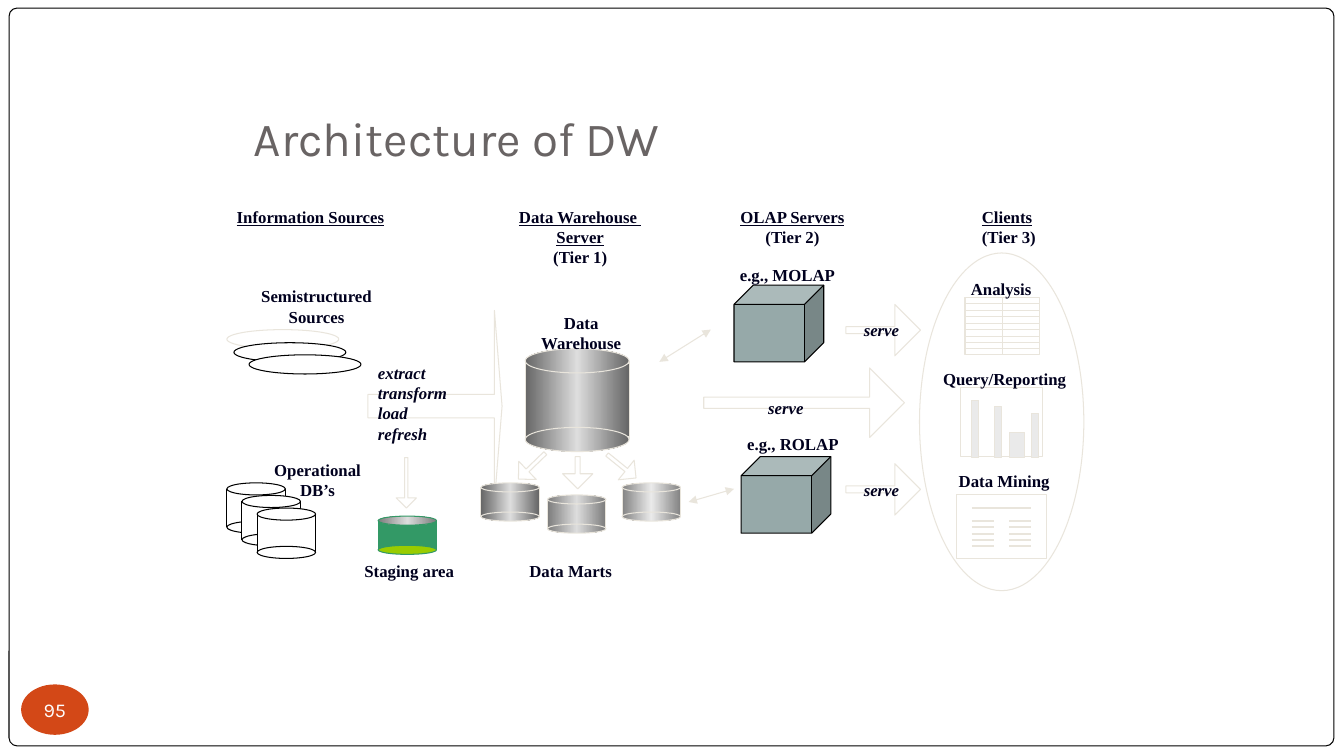
from copy import deepcopy
from dataclasses import dataclass
from itertools import product

from lxml import etree
from pptx import Presentation
from pptx.dml.color import RGBColor
from pptx.enum.shapes import MSO_CONNECTOR, MSO_SHAPE
from pptx.enum.text import MSO_ANCHOR, PP_ALIGN
from pptx.oxml.ns import qn
from pptx.util import Inches, Pt

STRAIGHT = MSO_CONNECTOR.STRAIGHT
ROUNDED, RECT, OVAL = MSO_SHAPE.ROUNDED_RECTANGLE, MSO_SHAPE.RECTANGLE, MSO_SHAPE.OVAL
RIGHT, DOWN, CUBE = MSO_SHAPE.RIGHT_ARROW, MSO_SHAPE.DOWN_ARROW, MSO_SHAPE.CUBE
LEFT, CENTER = PP_ALIGN.LEFT, PP_ALIGN.CENTER
TOP, MIDDLE, BOTTOM = MSO_ANCHOR.TOP, MSO_ANCHOR.MIDDLE, MSO_ANCHOR.BOTTOM

COLORS = {
    "white": "FFFFFF", "black": "000000", "orange": "D34817", "title": "696464",
    "ink": "00001E", "pale": "E9E5DC", "cube": "96A9A9", "bar": "EAEAEA",
    "green": "339966", "lime": "99CC00", "steel": "666666", "silver": "DDDDDD",
    "slate": "7C7C7C", "gray": "838383",
}
GRADIENTS = {
    "steel sheen": ("steel", "silver", "steel"),
    "slate sheen": ("slate", "silver", "slate"),
    "gray sheen": ("gray", "bar", "gray"),
}
LABEL = {"name": "Times New Roman", "size": Pt(12), "bold": True}
HEADING = LABEL | {"underline": True}
ACTION = LABEL | {"italic": True}
TITLE = {"name": "Karla", "size": Pt(34)}
NUMBER = {"name": "Karla", "size": Pt(14)}


@dataclass
class Form:
    kind: int
    at: tuple
    fill: str = ""
    line: str = "pale"
    adjust: tuple = ()
    turn: float = 0
    weight: float = 0.75


@dataclass
class Cylinder:
    at: tuple
    rim: float
    body: str
    top: str
    base: str
    line: str
    edge: str


@dataclass
class Label:
    at: tuple
    lines: tuple
    align: int = CENTER
    style: dict = None
    underlined: int = 0


def rgb(name: str) -> RGBColor:
    return RGBColor.from_string(COLORS[name])


def draw_form(page, form: Form):
    box = page.shapes.add_shape(form.kind, *map(Inches, form.at))
    box.shadow.inherit = False
    for index, value in enumerate(form.adjust):
        box.adjustments[index] = value
    box.rotation = form.turn
    if form.fill in GRADIENTS:
        box.fill.gradient()
        box.fill.gradient_angle = 0
        stops = box._element.spPr.find(".//" + qn("a:gsLst"))
        stops.append(deepcopy(stops[0]))
        for index, name in enumerate(GRADIENTS[form.fill]):
            stop = box.fill.gradient_stops[index]
            stop.position = index / 2
            stop.color.rgb = rgb(name)
    elif form.fill:
        box.fill.solid()
        box.fill.fore_color.rgb = rgb(form.fill)
    else:
        box.fill.background()
    if form.line:
        box.line.color.rgb = rgb(form.line)
        box.line.width = Pt(form.weight)
    else:
        box.line.fill.background()
    return box


def draw_line(page, start: tuple, end: tuple, color: str = "pale",
              weight: float = 0.75, arrows: bool = False):
    link = page.shapes.add_connector(STRAIGHT, *map(Inches, start + end))
    link.line.color.rgb = rgb(color)
    link.line.width = Pt(weight)
    if arrows:
        for tag in ("a:headEnd", "a:tailEnd"):
            etree.SubElement(link.line._get_or_add_ln(), qn(tag), type="triangle")
    etree.SubElement(link._element.spPr, qn("a:effectLst"))
    return link


def draw_cylinder(page, can: Cylinder) -> None:
    left, top, width, height = can.at
    rim = can.rim
    draw_form(page, Form(RECT, (left, top + 0.6 * rim, width, height - 1.2 * rim),
                         can.body, can.edge))
    for x in (left, left + width):
        draw_line(page, (x, top + rim / 2), (x, top + height - rim / 2), can.line)
    for y, fill in ((top, can.top), (top + height - rim, can.base)):
        draw_form(page, Form(OVAL, (left, y, width, rim), fill, can.line))


def write_text(box, lines: tuple, style: dict, color: str = "ink", align: int = CENTER,
               anchor: int = TOP, margins: tuple = (0, 0.05, 0, 0.05), underlined: int = 0) -> None:
    frame = box.text_frame
    sides = ("margin_left", "margin_top", "margin_right", "margin_bottom")
    layout = dict(zip(sides, map(Inches, margins)))
    for name, value in (layout | {"word_wrap": True, "vertical_anchor": anchor}).items():
        setattr(frame, name, value)
    for index, line in enumerate(lines):
        para = frame.paragraphs[0] if index == 0 else frame.add_paragraph()
        para.alignment = align
        span = para.add_run()
        span.text = line
        span.font.color.rgb = rgb(color)
        for name, value in (HEADING if index < underlined else style).items():
            setattr(span.font, name, value)


FORMS = [
    Form(OVAL, (2.25, 3.27, 1.11, 0.19)),
    Form(OVAL, (2.32, 3.4, 1.11, 0.19), "white", "black"),
    Form(OVAL, (2.47, 3.52, 1.11, 0.19), "white", "black"),
    Form(RIGHT, (3.65, 3.08, 1.33, 1.9), adjust=(0.123, 0.057)),
    Form(DOWN, (5.15, 4.44, 0.25, 0.37), adjust=(0.162, 0.5), turn=46),
    Form(DOWN, (5.58, 4.53, 0.3, 0.32), adjust=(0.162, 0.5)),
    Form(DOWN, (6.04, 4.44, 0.25, 0.37), adjust=(0.162, 0.5), turn=309),
    Form(DOWN, (3.93, 4.54, 0.2, 0.5), adjust=(0.162, 0.5)),
    Form(CUBE, (7.35, 4.53, 0.89, 0.76), "cube", "black", (0.25,)),
    Form(CUBE, (7.28, 2.83, 0.89, 0.76), "cube", "black", (0.25,)),
    Form(OVAL, (9.12, 2.51, 1.63, 3.35)),
    Form(RIGHT, (6.98, 3.65, 1.99, 0.69), adjust=(0.162, 0.5)),
    Form(RECT, (9.53, 3.84, 0.81, 0.69)),
    Form(RECT, (9.49, 4.91, 0.89, 0.63)),
]
BARS = [(9.64, 0.07, 0.57), (9.86, 0.07, 0.51), (10.01, 0.15, 0.25), (10.23, 0.07, 0.44)]
FORMS += [Form(RECT, (x, 4.54 - height, width, height), "bar") for x, width, height in BARS]

CYLINDERS = [
    Cylinder((2.25 + 0.15 * i, 4.79 + 0.125 * i, 0.58, 0.5), 0.12,
             "white", "white", "white", "black", "white") for i in range(3)
]
CYLINDERS += [
    Cylinder(at, rim, sheen, sheen, sheen, "pale", "pale") for at, rim, sheen in (
        ((5.21, 3.46, 1.03, 1.02), 0.24, "steel sheen"),
        ((4.77, 4.79, 0.58, 0.38), 0.09, "steel sheen"),
        ((5.43, 4.91, 0.58, 0.38), 0.09, "slate sheen"),
        ((6.17, 4.79, 0.58, 0.38), 0.09, "gray sheen"))
]
CYLINDERS.append(Cylinder((3.75, 5.12, 0.58, 0.38), 0.09,
                          "green", "slate sheen", "lime", "green", "green"))

LABELS = [
    Label((2.25, 2, 1.67, 0.3), ("Information Sources",), LEFT, underlined=1),
    Label((5.04, 2, 1.43, 0.71), ("Data Warehouse ", "Server", "(Tier 1)"), underlined=2),
    Label((7.24, 2, 1.24, 0.5), ("OLAP Servers", "(Tier 2)"), underlined=1),
    Label((9.64, 2, 0.74, 0.5), ("Clients", "(Tier 3)"), LEFT, underlined=1),
    Label((2.62, 4.51, 1.06, 0.5), ("Operational", "DB’s")),
    Label((2.49, 2.79, 1.3, 0.5), ("Semistructured", "Sources")),
    Label((3.65, 3.55, 1.01, 0.91), ("extract", "transform", "load", "refresh"), LEFT, ACTION),
    Label((5.15, 5.51, 1.02, 0.3), ("Data Marts",)),
    Label((5.26, 3.05, 1.01, 0.5), ("Data", "Warehouse")),
    Label((7.09, 2.58, 1.44, 0.3), ("e.g., MOLAP",)),
    Label((7.31, 4.25, 1.11, 0.3), ("e.g., ROLAP",)),
    Label((7.52, 3.9, 0.55, 0.3), ("serve",), style=ACTION),
    Label((9.53, 2.72, 0.8, 0.3), ("Analysis",)),
    Label((9.25, 3.61, 1.43, 0.3), ("Query/Reporting",)),
    Label((9.41, 4.62, 1.1, 0.3), ("Data Mining",)),
    Label((3.51, 5.51, 1.1, 0.3), ("Staging area",)),
]


def main() -> None:
    deck = Presentation()
    deck.slide_width, deck.slide_height = Inches(13.33), Inches(7.5)
    page = deck.slides.add_slide(deck.slide_layouts[6])
    draw_form(page, Form(ROUNDED, (0.09, 0.08, 13.14, 7.32), "white", "black", (0.011,)))
    badge = draw_form(page, Form(OVAL, (0.21, 6.79, 0.67, 0.5), "orange", ""))
    write_text(badge, ("95",), NUMBER, "white", anchor=MIDDLE, margins=(0, 0, 0, 0))
    title = page.shapes.add_textbox(*map(Inches, (2.42, 0.5, 8.5, 1.25)))
    write_text(title, ("Architecture of DW",), TITLE, "title", LEFT, BOTTOM, (0.1, 0.05, 0.1, 0.1))

    for form in FORMS:
        draw_form(page, form)
    for can in CYLINDERS:
        draw_cylinder(page, can)

    grid = draw_form(page, Form(RECT, (9.57, 2.95, 0.74, 0.57), weight=1))
    for row in range(1, 9):
        y = 2.95 + 0.064 * row
        draw_line(page, (9.57, y), (10.31, y), weight=1 if row == 1 else 0.75)
    divider = draw_line(page, (9.94, 2.95), (9.94, 3.52))
    divider.begin_connect(grid, 0)
    divider.end_connect(grid, 2)

    draw_line(page, (9.64, 5.04), (10.23, 5.04), weight=1.5)
    for x, row in product((9.64, 10.01), range(5)):
        y = 5.17 + 0.0625 * row
        draw_line(page, (x, y), (x + 0.22, y), weight=1.5)
    draw_line(page, (6.54, 3.59), (7.05, 3.27), arrows=True)
    draw_line(page, (6.83, 4.98), (7.28, 4.85), arrows=True)

    for top in (3.02, 4.6):
        arrow = draw_form(page, Form(RIGHT, (8.39, top, 0.74, 0.51), adjust=(0.134, 0.5)))
        write_text(arrow, ("serve",), ACTION, anchor=MIDDLE, margins=(0.1, 0.05, 0.1, 0.05))
    for label in LABELS:
        box = page.shapes.add_textbox(*map(Inches, label.at))
        indent = 0.1 if label.align == LEFT else 0
        write_text(box, label.lines, label.style or LABEL, align=label.align,
                   margins=(indent, 0.05, 0, 0.05), underlined=label.underlined)
    deck.save("out.pptx")


if __name__ == "__main__":
    main()
